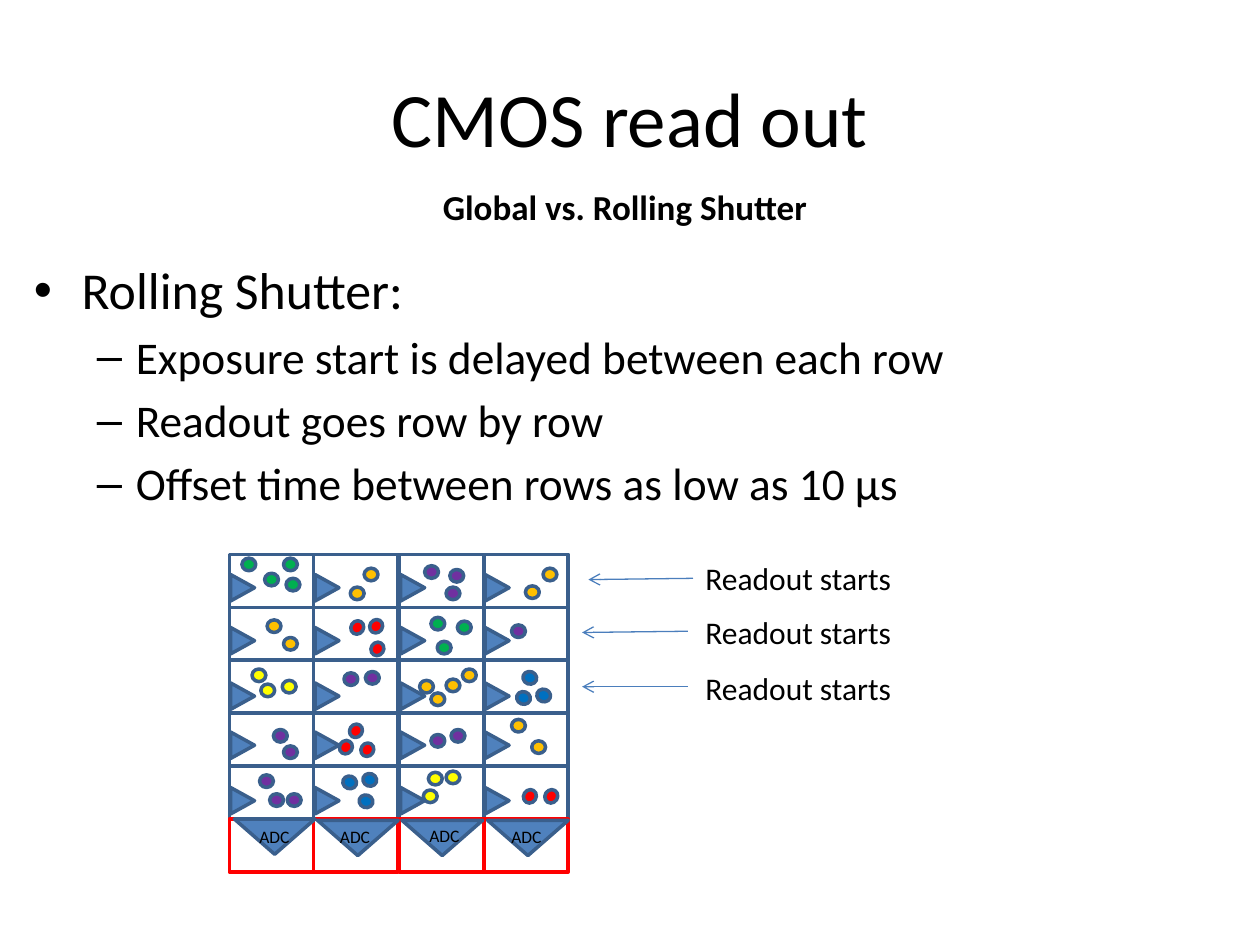
from lxml.etree import SubElement
from pptx import Presentation
from pptx.dml.color import RGBColor
from pptx.enum.shapes import MSO_CONNECTOR, MSO_SHAPE
from pptx.enum.text import MSO_ANCHOR, PP_ALIGN
from pptx.oxml.ns import qn
from pptx.util import Inches, Pt

COLORS = {
    "text": "000000", "outline": "3A5F8C", "amplifier": "4F81BD", "arrow": "4B7EBC",
    "red": "FF0000", "orange": "FFC000", "yellow": "FFFF00",
    "green": "00B050", "blue": "0070C0", "purple": "7030A0",
}

# Content: bullets as (text, level)
TITLE = "CMOS read out"
SUBTITLE = "Global vs. Rolling Shutter"
BULLETS = [
    ("Rolling Shutter:", 0),
    ("Exposure start is delayed between each row", 1),
    ("Readout goes row by row", 1),
    ("Offset time between rows as low as 10 μs", 1),
]
LEVELS = [
    {"size": 29.6, "mark": "•", "left": 0.38, "hang": 0.38},
    {"size": 25.9, "mark": "–", "left": 0.81, "hang": 0.31},
]

# Readout labels: text, label top, arrow start and arrow end
READOUTS = [
    ("Readout starts", 4.39, (5.5, 4.59), (4.67, 4.6)),
    ("Readout starts", 4.82, (5.46, 5.01), (4.62, 5.02)),
    ("Readout starts", 5.26, (5.46, 5.45), (4.62, 5.45)),
]

# Sensor grid
COLUMNS = (1.82, 2.49, 3.17, 3.84)
GRID_TOP, CELL_WIDTH, CELL_HEIGHT = 4.4, 0.67, 0.42
AMPLIFIER_TOPS = (4.57, 4.99, 5.43, 5.82, 6.26)
CONVERTER_TOP = GRID_TOP + CELL_HEIGHT * len(AMPLIFIER_TOPS)
# Converters: triangle left, triangle top, label left, label top
CONVERTERS = [(1.86, 6.5, 1.96, 6.51), (2.52, 6.51, 2.6, 6.51),
              (3.19, 6.51, 3.31, 6.5), (3.87, 6.51, 3.96, 6.51)]

# Charges collected in the pixels: left and top of each dot, row by row
CHARGES = {
    "green": [(1.92, 4.43), (2.25, 4.43), (2.1, 4.55), (2.27, 4.59),
              (3.42, 4.9), (3.63, 4.93), (3.47, 5.09)],
    "orange": [(2.89, 4.51), (2.78, 4.66), (4.31, 4.51), (4.17, 4.65),
               (2.12, 4.92), (2.25, 5.06), (3.33, 5.4), (3.42, 5.5),
               (3.54, 5.39), (3.67, 5.31), (4.06, 5.71), (4.22, 5.88)],
    "purple": [(3.37, 4.49), (3.57, 4.52), (3.54, 4.66), (4.06, 4.96),
               (2.73, 5.34), (2.9, 5.33), (2.17, 5.79), (2.25, 5.92),
               (3.42, 5.83), (3.58, 5.79), (2.06, 6.15), (2.14, 6.3), (2.28, 6.3)],
    "red": [(2.78, 4.93), (2.93, 4.92), (2.94, 5.1), (2.77, 5.75),
            (2.69, 5.88), (2.86, 5.9), (4.15, 6.27), (4.32, 6.27)],
    "yellow": [(2, 5.31), (2.07, 5.43), (2.24, 5.4),
               (3.4, 6.13), (3.54, 6.12), (3.36, 6.27)],
    "blue": [(4.15, 5.33), (4.1, 5.49), (4.26, 5.47),
             (2.72, 6.16), (2.88, 6.14), (2.85, 6.31)],
}
CHARGE_ROTATION = {"red": 122.3, "blue": 20}

deck = Presentation()
deck.slide_width, deck.slide_height = Inches(10), Inches(7.5)
page = deck.slides.add_slide(deck.slide_layouts[6])


def color(name):
    return RGBColor.from_string(COLORS[name])


def set_font(para, **values):
    for name, value in {"name": "Calibri", **values}.items():
        setattr(para.font, name, value)
    para.font.color.rgb = color("text")


def add_box(left, top, width, height, anchor=MSO_ANCHOR.TOP):
    box = page.shapes.add_textbox(*map(Inches, (left, top, width, height)))
    box.text_frame.word_wrap = True
    box.text_frame.vertical_anchor = anchor
    return box.text_frame


def add_label(text, place, size, align=PP_ALIGN.LEFT, bold=False, anchor=MSO_ANCHOR.TOP):
    para = add_box(*place, anchor).paragraphs[0]
    para.text, para.alignment = text, align
    set_font(para, size=Pt(size), bold=bold)


def add_part(kind, place, fill=None, line="outline", rotation=0):
    part = page.shapes.add_shape(kind, *map(Inches, place))
    part.shadow.inherit = False
    part.rotation = rotation
    if fill:
        part.fill.solid()
        part.fill.fore_color.rgb = color(fill)
    else:
        part.fill.background()
    part.line.color.rgb = color(line)
    part.line.width = Pt(2)


def add_arrow(start, end):
    arrow = page.shapes.add_connector(MSO_CONNECTOR.STRAIGHT, *map(Inches, start + end))
    arrow.line.color.rgb = color("arrow")
    arrow.line.width = Pt(0.75)
    SubElement(arrow.line._get_or_add_ln(), qn("a:tailEnd"), type="arrow")
    SubElement(arrow._element.spPr, qn("a:effectLst"))


# Headings
add_label(TITLE, (0.5, 0.3, 9, 1.25), 44, PP_ALIGN.CENTER, anchor=MSO_ANCHOR.MIDDLE)
add_label(SUBTITLE, (3.17, 1.42, 3.58, 0.44), 20, PP_ALIGN.CENTER, bold=True)

# Bullet list
body = add_box(0.17, 2, 9, 2)
for index, (text, depth) in enumerate(BULLETS):
    para = body.add_paragraph() if index else body.paragraphs[0]
    level = LEVELS[depth]
    para.text, para.level = text, depth
    if index:
        para.space_before = Pt(5)
    properties = para._p.get_or_add_pPr()
    properties.set("marL", str(Inches(level["left"])))
    properties.set("indent", str(-Inches(level["hang"])))
    SubElement(properties, qn("a:buFont"), typeface="Arial")
    SubElement(properties, qn("a:buChar"), char=level["mark"])
    set_font(para, size=Pt(level["size"]))

# Readout labels and arrows
for text, top, start, end in READOUTS:
    add_label(text, (5.5, top, 2.25, 0.4), 18)
    add_arrow(start, end)

# Pixels with their amplifiers
for row, amplifier_top in enumerate(AMPLIFIER_TOPS):
    for left in COLUMNS:
        top = GRID_TOP + row * CELL_HEIGHT
        add_part(MSO_SHAPE.RECTANGLE, (left, top, CELL_WIDTH, CELL_HEIGHT))
        add_part(MSO_SHAPE.ISOSCELES_TRIANGLE, (left, amplifier_top, 0.21, 0.19),
                 "amplifier", rotation=90)

# Converter row
for left in COLUMNS:
    add_part(MSO_SHAPE.RECTANGLE, (left, CONVERTER_TOP, CELL_WIDTH, CELL_HEIGHT), line="red")
for left, top, label_left, label_top in CONVERTERS:
    add_part(MSO_SHAPE.ISOSCELES_TRIANGLE, (left, top, 0.64, 0.28), "amplifier", rotation=180)
    add_label("ADC", (label_left, label_top, 0.5, 0.27), 10)

# Charges
for name, spots in CHARGES.items():
    for left, top in spots:
        add_part(MSO_SHAPE.OVAL, (left, top, 0.11, 0.1), name,
                 rotation=CHARGE_ROTATION.get(name, 0))

deck.save("out.pptx")
